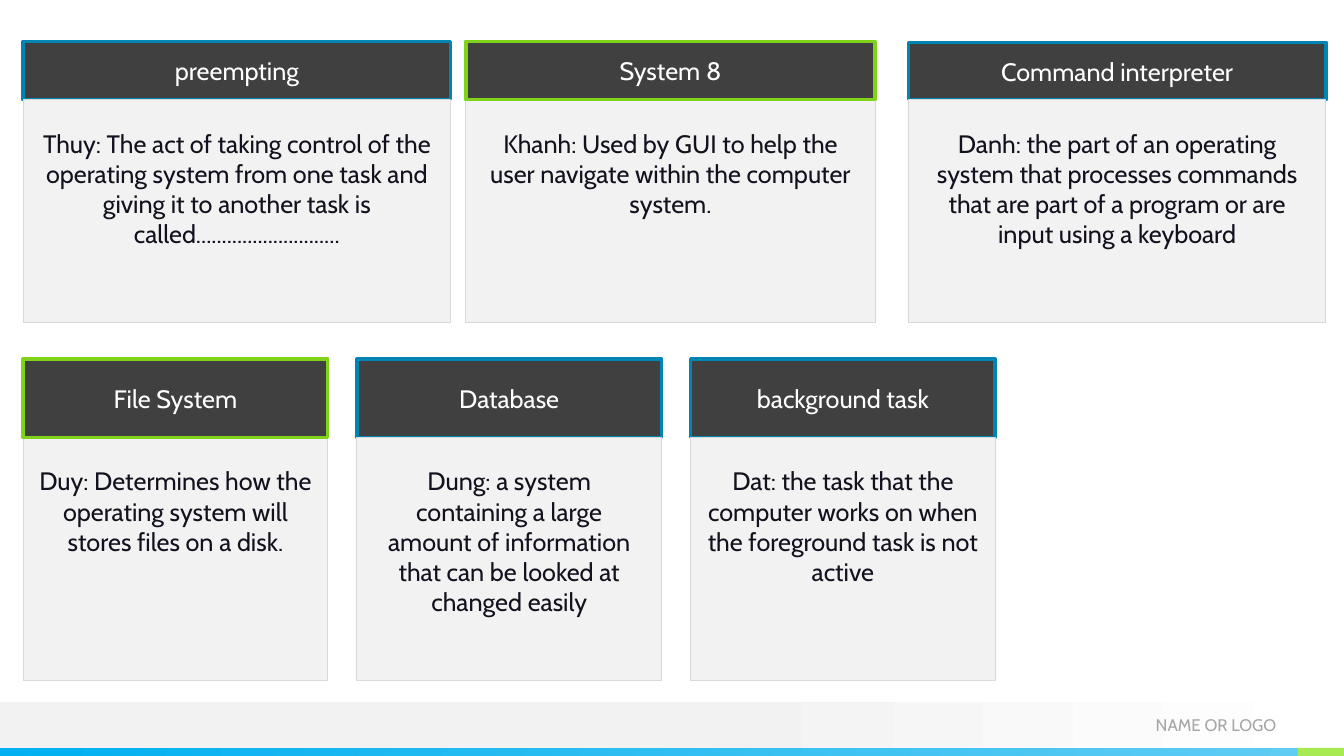
from pptx import Presentation
from pptx.dml.color import RGBColor
from pptx.enum.shapes import MSO_SHAPE as SHAPE
from pptx.enum.text import MSO_ANCHOR as ANCHOR, PP_ALIGN as ALIGN
from pptx.util import Inches, Pt

BLUE, GREEN = "0084B4", "81D31A"
GAP = 0.29
TOP_ROW = [
    (0.23, 0.41, 4.24, "preempting", BLUE,
     "Thuy: The act of taking control of the operating system from one task "
     "and giving it to another task is called............................"),
    (4.62, 0.41, 4.06, "System 8", GREEN,
     "Khanh: Used by GUI to help the user navigate within the computer system."),
    (9.01, 0.42, 4.14, "Command interpreter", BLUE,
     "Danh: the part of an operating system that processes commands that are "
     "part of a program or are input using a keyboard"),
]
BOTTOM_ROW = [
    ("File System", GREEN,
     "Duy: Determines how the operating system will stores files on a disk."),
    ("Database", BLUE,
     "Dung: a system containing a large amount of information that can be "
     "looked at changed easily"),
    ("background task", BLUE,
     "Dat: the task that the computer works on when the foreground task is not active"),
]


def color(value):
    return RGBColor.from_string(value)


class Deck:
    font = "Cabin"
    dark, pale, border, ink = "404040", "F2F2F2", "D9D9D9", "12121E"

    def __init__(self, slide):
        self.slide = slide

    def rect(self, x, y, w, h, fill=None, line=None, weight=0.75):
        sp = self.slide.shapes.add_shape(
            SHAPE.RECTANGLE, Inches(x), Inches(y), Inches(w), Inches(h))
        sp.shadow.inherit = False
        if fill:
            sp.fill.solid()
            sp.fill.fore_color.rgb = color(fill)
        if line:
            sp.line.color.rgb = color(line)
            sp.line.width = Pt(weight)
        else:
            sp.line.fill.background()
        return sp

    def gradient_bar(self, x, y, w, h, stops):
        """Draw a left-to-right gradient from two (position, colour) stops."""
        sp = self.rect(x, y, w, h)
        sp.fill.gradient()
        sp.fill.gradient_angle = 0
        for stop, (position, value) in zip(sp.fill.gradient_stops, stops):
            stop.position = position
            stop.color.rgb = color(value)

    def set_text(self, sp, text, size, value, align, anchor, insets):
        tf = sp.text_frame
        tf.word_wrap = True
        tf.vertical_anchor = anchor
        (tf.margin_left, tf.margin_top,
         tf.margin_right, tf.margin_bottom) = map(Inches, insets)
        p = tf.paragraphs[0]
        p.text = text
        p.alignment = align
        r = p.runs[0]
        r.font.name = self.font
        r.font.size = Pt(size)
        r.font.color.rgb = color(value)
        return p

    def label(self, x, y, w, h, text):
        sp = self.slide.shapes.add_textbox(Inches(x), Inches(y), Inches(w), Inches(h))
        self.set_text(sp, text, 12, "A6A6A6", ALIGN.RIGHT, ANCHOR.MIDDLE, (0, 0, 0, 0))

    def card_part(self, sp, text, value, anchor, insets):
        p = self.set_text(sp, text, 18, value, ALIGN.CENTER, anchor, insets)
        p.space_before, p.space_after = Pt(10), Pt(5)

    def header(self, x, y, w, h, text, accent):
        sp = self.rect(x, y, w, h, self.dark, accent, 2.5)
        self.card_part(sp, text, "FFFFFF", ANCHOR.MIDDLE, (0.12, 0.04, 0.12, 0.04))

    def body(self, x, y, w, h, text):
        sp = self.rect(x, y, w, h, self.pale, self.border)
        self.card_part(sp, text, self.ink, ANCHOR.TOP, (0.15, 0.28, 0.15, 0))

    def card(self, x, y, w, split, bottom, title, accent, text):
        """Stack a header on a body at split; a green header lies on top."""
        head = (x, y, w, split - y, title, accent)
        if accent == BLUE:
            self.header(*head)
        self.body(x, split, w, bottom - split, text)
        if accent == GREEN:
            self.header(*head)


def main():
    prs = Presentation()
    prs.slide_width, prs.slide_height = Inches(13.33), Inches(7.5)
    deck = Deck(prs.slides.add_slide(prs.slide_layouts[6]))

    deck.gradient_bar(0, 6.96, 13.33, 0.46, [(0.53, "F2F2F2"), (1, "FFFFFF")])
    deck.gradient_bar(0, 7.42, 12.87, 0.08, [(0, "00B0F0"), (1, "5ECCF3")])
    deck.rect(12.87, 7.42, 0.46, 0.08, "A7EA52")
    deck.label(10.42, 6.96, 2.24, 0.47, "NAME OR LOGO")

    for x, y, w, title, accent, text in TOP_ROW:
        deck.card(x, y, w, 0.99, 3.2, title, accent, text)
    width = 3.02
    for i, (title, accent, text) in enumerate(BOTTOM_ROW):
        deck.card(0.23 + i * (width + GAP), 3.56, width, 4.34, 6.75, title, accent, text)

    prs.save("out.pptx")


if __name__ == "__main__":
    main()
